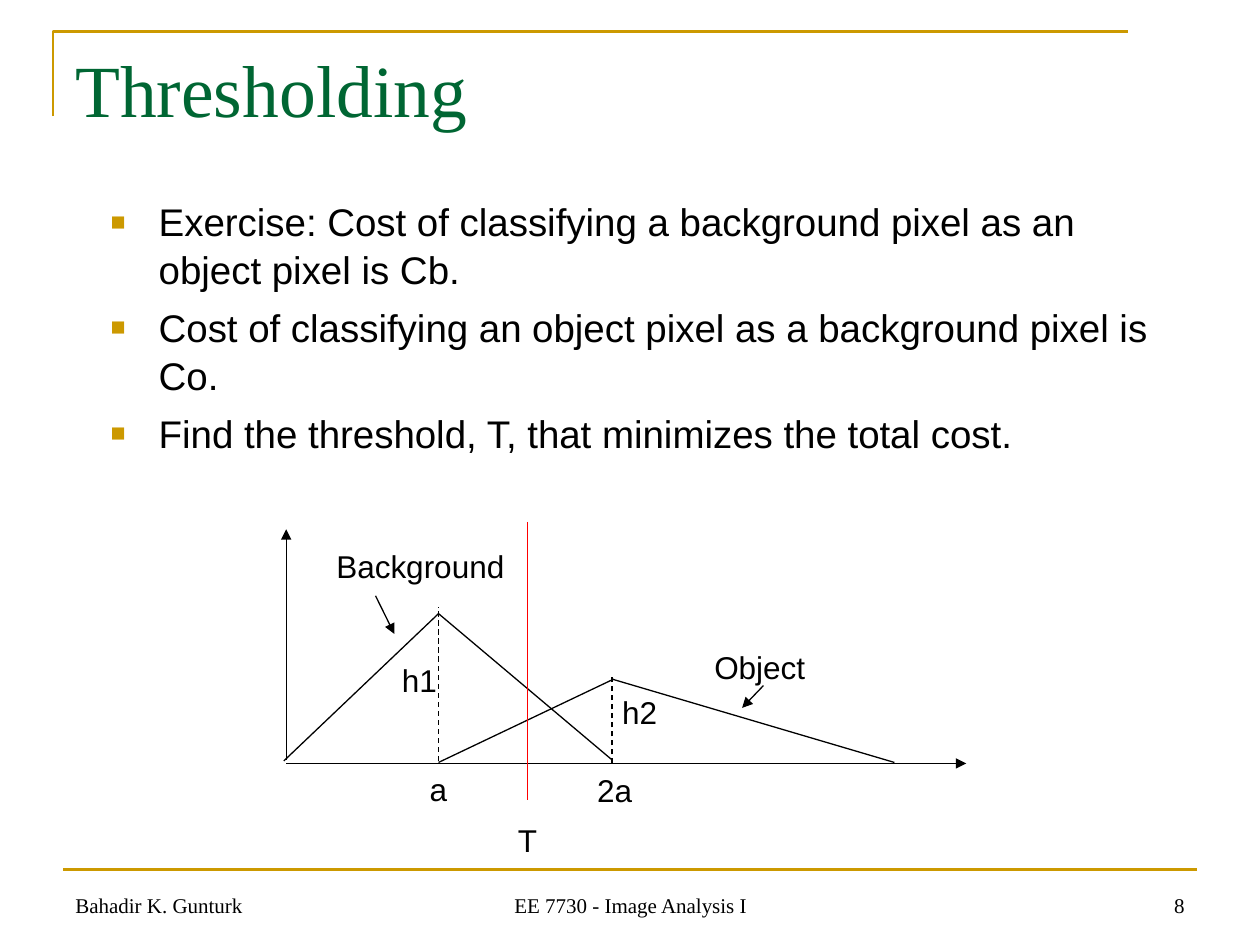
"""Build the thresholding exercise slide with its two-triangle histogram."""
from lxml import etree
from pptx import Presentation
from pptx import util as u
from pptx.dml.color import RGBColor
from pptx.enum import dml, shapes, text
from pptx.oxml import ns

GOLD, GREEN, BLACK, RED = "CC9900", "006633", "000000", "FF0000"
SERIF, SANS = "Times New Roman", "Arial"
LEFT, CENTER, RIGHT = text.PP_ALIGN.LEFT, text.PP_ALIGN.CENTER, text.PP_ALIGN.RIGHT


def color(value):
    """Turn a hex string into a colour."""
    return RGBColor.from_string(value)


def add_text(bounds, lines, size, font, ink=BLACK, align=LEFT):
    """Add a text box with one paragraph per line."""
    box = page.shapes.add_textbox(*map(u.Cm, bounds))
    frame = box.text_frame
    frame.word_wrap = True
    for index, line in enumerate(lines):
        para = frame.paragraphs[0] if index == 0 else frame.add_paragraph()
        para.alignment = align
        span = para.add_run()
        span.text = line
        span.font.size = u.Pt(size)
        span.font.name = font
        span.font.color.rgb = color(ink)
    return frame


deck = Presentation()
deck.slide_width, deck.slide_height = u.Cm(25.4), u.Cm(19.05)
page = deck.slides.add_slide(deck.slide_layouts[6])

builder = page.shapes.build_freeform(u.Cm(1.07), u.Cm(2.34))
builder.add_line_segments(
    [(u.Cm(1.07), u.Cm(0.64)), (u.Cm(22.73), u.Cm(0.64))], close=False)
bracket = builder.convert_to_shape()
bracket.shadow.inherit = False
bracket.fill.background()
bracket.line.color.rgb = color(GOLD)
bracket.line.width = u.Pt(1.5)

add_text((1.27, 0.76, 22.86, 3.18), ["Thresholding"], 42, SERIF, GREEN)

body = add_text((1.98, 3.84, 21.92, 13.72), [
    "Exercise: Cost of classifying a background pixel as an object pixel is Cb.",
    "Cost of classifying an object pixel as a background pixel is Co.",
    "Find the threshold, T, that minimizes the total cost.",
], 22, SANS)
for index, para in enumerate(body.paragraphs):
    para.line_spacing = 1.04
    para.space_before = u.Pt(5.5 if index else 0)
    props = para._p.get_or_add_pPr()
    props.set("marL", str(u.Cm(0.97)))
    props.set("indent", str(u.Cm(-0.97)))
    tint = etree.SubElement(props, ns.qn("a:buClr"))
    etree.SubElement(tint, ns.qn("a:srgbClr"), val=GOLD)
    etree.SubElement(props, ns.qn("a:buSzPct"), val="65000")
    etree.SubElement(props, ns.qn("a:buFont"), typeface=SANS)
    etree.SubElement(props, ns.qn("a:buChar"), char="■")

footer_rule = (1.27, 17.53, 24.13, 17.53)
axes = [(5.77, 15.39, 19.48, 15.39), (5.77, 15.32, 5.77, 10.67)]
heights = [(8.84, 15.34, 8.84, 12.24), (12.34, 15.39, 12.34, 13.64)]
background = [(5.72, 15.34, 8.84, 12.37), (8.84, 12.37, 12.34, 15.32)]
foreground = [(8.84, 15.37, 12.37, 13.69), (18.03, 15.37, 12.34, 13.69)]
threshold = (10.64, 10.52, 10.64, 16.13)
pointers = [(7.57, 12.01, 7.95, 12.78), (15.39, 13.82, 14.96, 14.27)]

for group, ink, width, dashed, arrow in [
    ([footer_rule], GOLD, 1.5, False, False),
    (axes, BLACK, 0.75, False, True),
    (heights, BLACK, 0.75, True, False),
    (background + foreground, BLACK, 0.75, False, False),
    ([threshold], RED, 0.75, False, False),
    (pointers, BLACK, 0.75, False, True),
]:
    for ends in group:
        line = page.shapes.add_connector(
            shapes.MSO_CONNECTOR.STRAIGHT, *map(u.Cm, ends))
        line.line.color.rgb = color(ink)
        line.line.width = u.Pt(width)
        if dashed:
            line.line.dash_style = dml.MSO_LINE.DASH
        if arrow:
            etree.SubElement(line.line._get_or_add_ln(), ns.qn("a:tailEnd"), type="triangle")
        etree.SubElement(line._element.spPr, ns.qn("a:effectLst"))

for label, left, top, width in [
    ("a", 8.41, 15.39, 0.86),
    ("2a", 11.79, 15.42, 1.22),
    ("h1", 7.85, 13.21, 1.22),
    ("h2", 12.29, 13.84, 1.22),
    ("T", 10.19, 16.43, 0.89),
    ("Background", 6.53, 10.9, 3.89),
    ("Object", 14.15, 12.93, 2.34),
]:
    frame = add_text((left, top, width, 1.02), [label], 18, SANS)
    frame.word_wrap = False
    frame.auto_size = text.MSO_AUTO_SIZE.SHAPE_TO_FIT_TEXT

for label, left, width, align in [
    ("Bahadir K. Gunturk", 1.27, 5.92, LEFT),
    ("EE 7730 - Image Analysis I", 8.69, 8.05, CENTER),
    ("8", 18.21, 5.92, RIGHT),
]:
    frame = add_text((left, 17.35, width, 1.27), [label], 12, SERIF, align=align)
    frame.vertical_anchor = text.MSO_ANCHOR.BOTTOM

deck.save("out.pptx")
